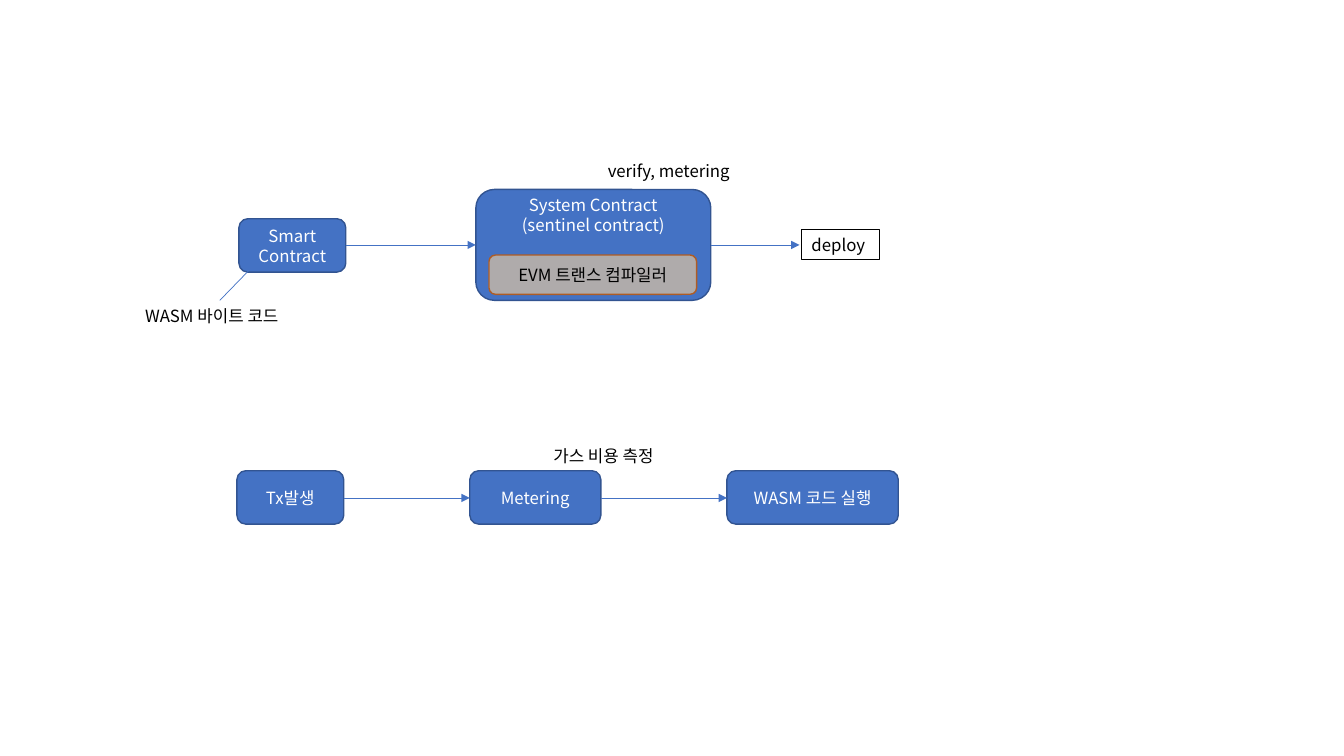
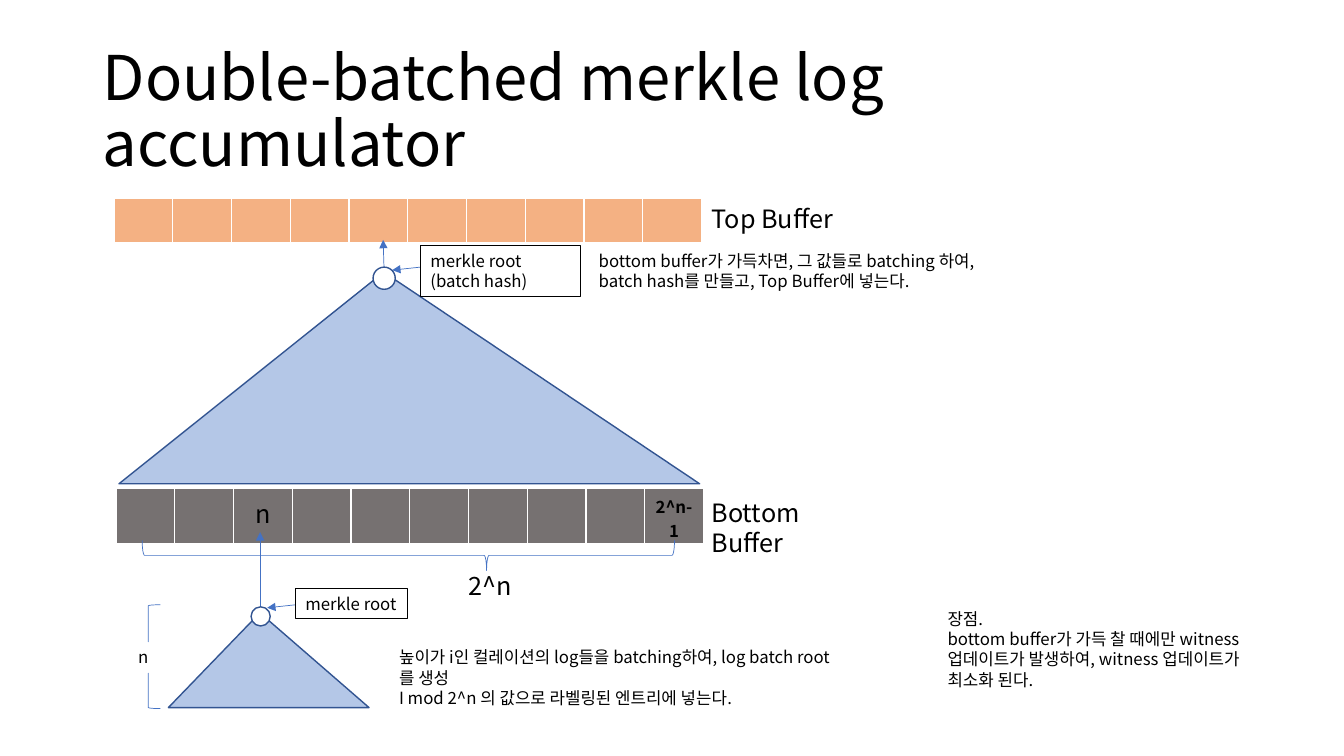
from dataclasses import dataclass

from lxml.etree import SubElement
from pptx import Presentation
from pptx.dml.color import RGBColor
from pptx.enum.shapes import MSO_CONNECTOR as Link, MSO_SHAPE as Kind
from pptx.enum.text import MSO_ANCHOR as Anchor, PP_ALIGN as Align
from pptx.oxml.ns import qn
from pptx.util import Inches, Pt

FONT = "Noto Sans CJK KR"
HUES = {
    "blue": "4472C4", "navy": "325491", "pale": "B4C7E7", "gray": "AFABAB",
    "rust": "AF5C24", "peach": "F4B183", "stone": "767171",
    "black": "000000", "white": "FFFFFF",
}


@dataclass(frozen=True)
class Box:
    x: float
    y: float
    w: float
    h: float
    text: str = ""


@dataclass(frozen=True)
class Style:
    kind: Kind
    fill: str | None = None
    line: str | None = None
    width: float = 1
    ink: str = "black"
    align: Align = Align.LEFT
    anchor: Anchor = Anchor.TOP


@dataclass(frozen=True)
class Arrow:
    x1: float
    y1: float
    x2: float
    y2: float
    head: bool = True


NODE = Style(Kind.ROUNDED_RECTANGLE, "blue", "navy", ink="white",
             align=Align.CENTER, anchor=Anchor.MIDDLE)
GROUP = Style(Kind.ROUNDED_RECTANGLE, "blue", "navy", ink="white", align=Align.CENTER)
INNER = Style(Kind.ROUNDED_RECTANGLE, "gray", "rust",
              align=Align.CENTER, anchor=Anchor.MIDDLE)
FRAME = Style(Kind.RECTANGLE, line="black", width=0.75)
PATCH = Style(Kind.RECTANGLE, "white", "white", 0.75)
TREE = Style(Kind.ISOSCELES_TRIANGLE, "pale", "navy")
ROOT = Style(Kind.OVAL, "white", "navy")
BRACE = Style(Kind.LEFT_BRACE, line="blue", width=0.5)
SPAN = Style(Kind.LEFT_BRACKET, line="blue", width=0.5)


def tint(name: str) -> RGBColor:
    return RGBColor.from_string(HUES[name])


def write(frame, text: str, *, size: float = 12, ink: str = "black", bold: bool = False,
          align: Align = Align.LEFT, gap: float | None = None) -> None:
    """Fill a text frame, one paragraph for each line of text."""
    for i, line in enumerate(text.split("\n")):
        para = frame.add_paragraph() if i else frame.paragraphs[0]
        para.alignment = align
        if gap:
            para.line_spacing = gap
        run = para.add_run()
        run.text = line
        font = run.font
        font.name, font.size, font.bold = FONT, Pt(size), bold
        font.color.rgb = tint(ink)
        SubElement(font._element, qn("a:ea")).set("typeface", FONT)


def label(slide, box: Box, size: float = 12, anchor: Anchor = Anchor.TOP,
          gap: float | None = None) -> None:
    area = slide.shapes.add_textbox(*map(Inches, (box.x, box.y, box.w, box.h)))
    area.text_frame.word_wrap = True
    area.text_frame.vertical_anchor = anchor
    write(area.text_frame, box.text, size=size, gap=gap)


def draw(slide, box: Box, style: Style, adj: tuple[float, ...] = (), turn: float = 0):
    shape = slide.shapes.add_shape(style.kind, *map(Inches, (box.x, box.y, box.w, box.h)))
    shape.shadow.inherit = False
    shape.rotation = turn
    for i, value in enumerate(adj):
        shape.adjustments[i] = value
    if style.fill:
        shape.fill.solid()
        shape.fill.fore_color.rgb = tint(style.fill)
    else:
        shape.fill.background()
    shape.line.color.rgb = tint(style.line)
    shape.line.width = Pt(style.width)
    if box.text:
        frame = shape.text_frame
        frame.word_wrap = True
        frame.vertical_anchor = style.anchor
        write(frame, box.text, ink=style.ink, align=style.align)
    return shape


def join(slide, arrow: Arrow) -> None:
    ends = map(Inches, (arrow.x1, arrow.y1, arrow.x2, arrow.y2))
    link = slide.shapes.add_connector(Link.STRAIGHT, *ends)
    link.line.color.rgb = tint("blue")
    link.line.width = Pt(0.5)
    if arrow.head:
        SubElement(link.line._get_or_add_ln(), qn("a:tailEnd")).set("type", "triangle")
    SubElement(link._element.spPr, qn("a:effectLst"))


def edge(cell) -> None:
    """Give a cell white borders, thick at the bottom."""
    props = cell._tc.get_or_add_tcPr()
    for i, (side, width) in enumerate((("L", 1), ("R", 1), ("T", 1), ("B", 3))):
        line = SubElement(props, qn(f"a:ln{side}"), w=str(Pt(width)))
        fill = SubElement(line, qn("a:solidFill"))
        SubElement(fill, qn("a:srgbClr"), val=HUES["white"])
        props.insert(i, line)


def buffer(slide, box: Box, hue: str, cols: int = 10):
    area = map(Inches, (box.x, box.y, box.w, box.h))
    table = slide.shapes.add_table(1, cols, *area).table
    table.first_row = table.horz_banding = False
    for cell in table.iter_cells():
        cell.fill.solid()
        cell.fill.fore_color.rgb = tint(hue)
        edge(cell)
    return table


def flow(slide) -> None:
    for node in (
        Box(2.35, 4.67, 1.06, 0.53, "Tx발생"),
        Box(4.66, 4.67, 1.3, 0.53, "Metering"),
        Box(7.21, 4.67, 1.7, 0.53, "WASM 코드 실행"),
        Box(2.37, 2.17, 1.06, 0.53, "Smart\nContract"),
    ):
        draw(slide, node, NODE)
    group = draw(slide, Box(4.72, 1.88, 2.33, 1.1, "System Contract\n(sentinel contract)"), GROUP)
    group.text_frame.margin_top = 0
    draw(slide, Box(4.85, 2.53, 2.06, 0.39, "EVM 트랜스 컴파일러"), INNER)
    draw(slide, Box(7.95, 2.28, 0.77, 0.3, "deploy"), FRAME)
    for note in (
        Box(5.39, 4.37, 1.33, 0.3, "가스 비용 측정"),
        Box(1.34, 2.98, 1.69, 0.3, "WASM 바이트 코드"),
        Box(5.93, 1.55, 1.44, 0.3, "verify, metering"),
    ):
        label(slide, note)
    for arrow in (
        Arrow(3.41, 4.94, 4.66, 4.94),
        Arrow(5.96, 4.94, 7.21, 4.94),
        Arrow(2.53, 2.62, 2.18, 2.98, head=False),
        Arrow(3.43, 2.43, 4.72, 2.43),
        Arrow(7.05, 2.43, 7.93, 2.43),
    ):
        join(slide, arrow)


def merkle(slide) -> None:
    title = Box(0.92, 0.4, 11.5, 1.45, "Double-batched merkle log accumulator")
    label(slide, title, 44, Anchor.MIDDLE, 0.9)
    buffer(slide, Box(1.13, 1.97, 5.83, 0.45), "peach")
    low = buffer(slide, Box(1.15, 4.85, 5.83, 0.56), "stone")
    write(low.cell(0, 2).text_frame, "n", size=18, align=Align.CENTER)
    write(low.cell(0, 9).text_frame, "2^n-1", bold=True, align=Align.CENTER)
    for name in (
        Box(4.55, 5.61, 0.69, 0.4, "2^n"),
        Box(6.96, 1.97, 1.59, 0.41, "Top Buffer"),
        Box(6.96, 4.88, 1.83, 0.4, "Bottom Buffer"),
    ):
        label(slide, name, 18)

    draw(slide, Box(3.9, 2.87, 0.3, 5.28), BRACE, (0.083, 0.647), 270)
    draw(slide, Box(1.47, 6, 0.12, 1.03), SPAN)
    for tree in (Box(1.18, 2.7, 5.76, 2.1), Box(1.67, 6.08, 1.99, 0.94)):
        draw(slide, tree, TREE, (0.456,))
    for arrow in (
        Arrow(3.81, 2.7, 3.8, 2.38),
        Arrow(4.17, 2.65, 3.89, 2.68),
        Arrow(2.93, 6, 2.65, 6.03),
        Arrow(2.58, 6.02, 2.58, 5.28),
    ):
        join(slide, arrow)
    for root in (Box(3.7, 2.65, 0.22, 0.22), Box(2.49, 6.02, 0.19, 0.19)):
        draw(slide, root, ROOT)
    draw(slide, Box(4.17, 2.44, 1.59, 0.5, "merkle root\n(batch hash)"), FRAME)
    draw(slide, Box(2.93, 5.84, 1.11, 0.3, "merkle root"), FRAME)
    draw(slide, Box(1.31, 6.37, 0.16, 0.3, "n"), PATCH)
    for note in (
        Box(5.84, 2.44, 4.26, 0.5, "bottom buffer가 가득차면, 그 값들로 batching 하여,\n"
            "batch hash를 만들고, Top Buffer에 넣는다."),
        Box(3.86, 6.37, 4.62, 0.71, "높이가 i인 컬레이션의 log들을 batching하여, log batch root를 생성\n"
            "I mod 2^n 의 값으로 라벨링된 엔트리에 넣는다."),
        Box(9.3, 5.99, 3.56, 1.11, "장점.\nbottom buffer가 가득 찰 때에만 witness "
            "업데이트가 발생하여, witness 업데이트가 최소화 된다."),
    ):
        label(slide, note)


def main() -> None:
    deck = Presentation()
    deck.slide_width, deck.slide_height = Inches(13.33), Inches(7.5)
    for build in (flow, merkle):
        build(deck.slides.add_slide(deck.slide_layouts[6]))
    deck.save("out.pptx")


if __name__ == "__main__":
    main()
